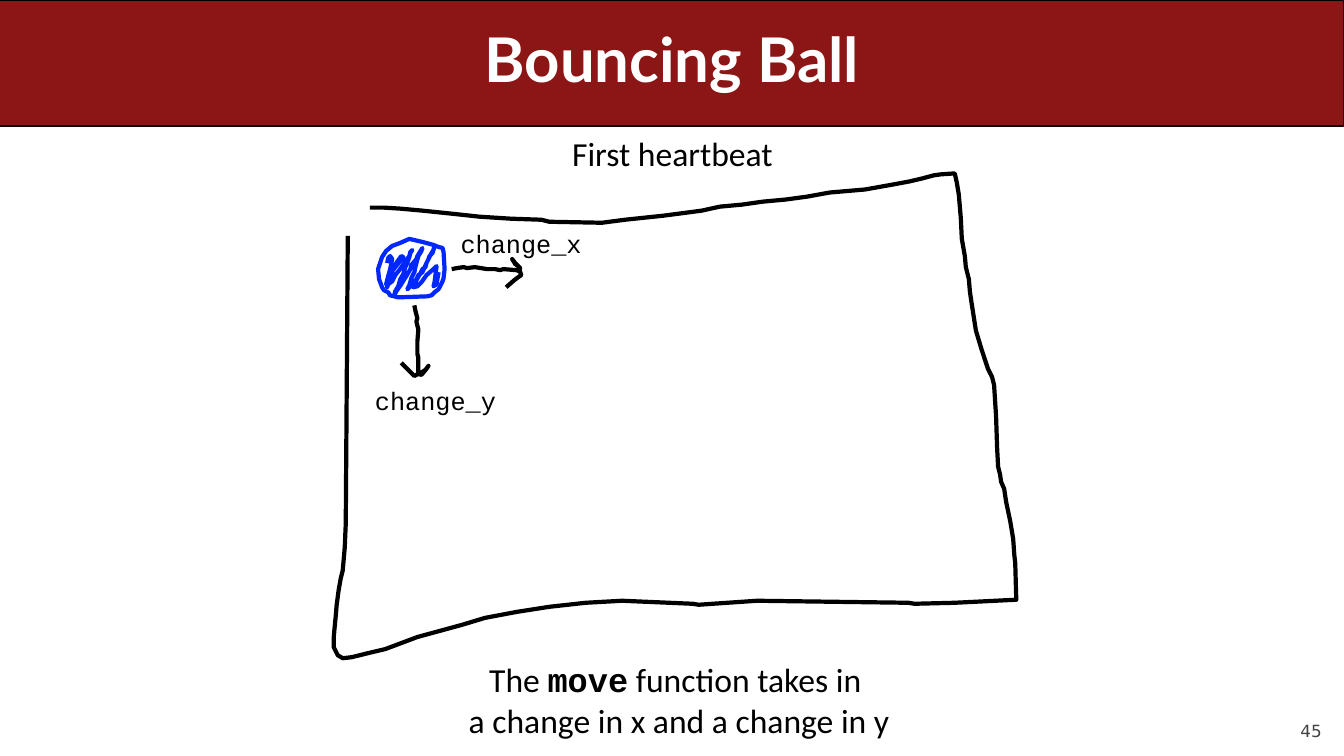
from lxml import etree
from pptx import Presentation
from pptx.dml.color import RGBColor
from pptx.enum.shapes import MSO_SHAPE
from pptx.enum.text import MSO_ANCHOR, PP_ALIGN
from pptx.oxml.ns import qn
from pptx.util import Inches, Pt

RECTANGLE, ROUNDED = MSO_SHAPE.RECTANGLE, MSO_SHAPE.ROUNDED_RECTANGLE
TOP, MIDDLE, BOTTOM = MSO_ANCHOR.TOP, MSO_ANCHOR.MIDDLE, MSO_ANCHOR.BOTTOM
LEFT, CENTER, RIGHT = PP_ALIGN.LEFT, PP_ALIGN.CENTER, PP_ALIGN.RIGHT

CARDINAL = RGBColor(0x8C, 0x15, 0x15)
BLACK = RGBColor(0, 0, 0)
WHITE = RGBColor(0xFF, 0xFF, 0xFF)
BLUE = RGBColor(0, 0x27, 0xFF)
GRAY = RGBColor(0x42, 0x42, 0x42)

TITLE = {"name": "Lato", "size": Pt(44), "bold": True}
BODY = {"name": "Calibri", "size": Pt(24), "bold": False}
BODY_CODE = {"name": "Courier New", "size": Pt(24), "bold": True}
LABEL = {"name": "Courier New", "size": Pt(18)}
NUMBER = {"name": "DejaVu Sans", "size": Pt(12)}

# Hand-drawn strokes as (x, y) points in inches.
WORLD = [
    (3.45, 2.34), (3.44, 3.77), (3.43, 5.2), (3.42, 5.43), (3.4, 5.66),
    (3.38, 5.74), (3.36, 5.85), (3.34, 6), (3.33, 6.12), (3.32, 6.22),
    (3.31, 6.33), (3.31, 6.42), (3.35, 6.5), (3.4, 6.53), (3.49, 6.52),
    (3.65, 6.48), (3.82, 6.44), (3.98, 6.38), (4.14, 6.32), (4.58, 6.2),
    (4.81, 6.13), (5.13, 6.07), (5.45, 6.02), (5.81, 5.98), (6.17, 5.96),
    (6.87, 5.99), (6.93, 6), (7.07, 5.99), (7.51, 5.96), (9.01, 5.98),
    (9.07, 5.99), (9.47, 5.98), (10.08, 5.95), (10.07, 5.59), (10.06, 5.5),
    (10.05, 5.35), (10.02, 5.17), (9.98, 4.98), (9.96, 4.85), (9.93, 4.78),
    (9.92, 4.71), (9.9, 4.63), (9.89, 4.44), (9.88, 4.13), (9.86, 3.82),
    (9.84, 3.74), (9.8, 3.66), (9.74, 3.48), (9.68, 3.28), (9.63, 2.96),
    (9.62, 2.89), (9.61, 2.77), (9.58, 2.65), (9.57, 2.54), (9.54, 2.37),
    (9.53, 2.16), (9.51, 1.93), (9.49, 1.81), (9.47, 1.72), (9.33, 1.73),
    (9.26, 1.74), (9.15, 1.77), (9.02, 1.8), (8.86, 1.83), (8.58, 1.88),
    (8.23, 1.91), (8.01, 1.95), (7.79, 1.98), (7.57, 2), (7.36, 2.03),
    (7.14, 2.05), (6.96, 2.09), (6.58, 2.14), (6.2, 2.18), (5.97, 2.21),
    (5.45, 2.2), (5.37, 2.18), (5.07, 2.17), (4.76, 2.15), (4.48, 2.12),
    (4.19, 2.09), (3.97, 2.07), (3.81, 2.06), (3.67, 2.06),
]
BALL = [
    (3.97, 2.41), (3.89, 2.44), (3.83, 2.49), (3.81, 2.52), (3.79, 2.55),
    (3.75, 2.67), (3.76, 2.77), (3.79, 2.85), (3.81, 2.88), (3.85, 2.9),
    (3.87, 2.93), (3.95, 2.95), (4.24, 2.94), (4.28, 2.93), (4.31, 2.9),
    (4.35, 2.87), (4.39, 2.79), (4.4, 2.76), (4.41, 2.67), (4.4, 2.5),
    (4.39, 2.46), (4.35, 2.45), (4.3, 2.43), (4.19, 2.4), (4.06, 2.37),
]
SCRIBBLE = [
    (3.84, 2.61), (3.85, 2.56), (3.87, 2.54), (3.89, 2.57), (3.87, 2.67),
    (3.85, 2.74), (3.84, 2.78), (3.83, 2.82), (3.86, 2.73), (3.92, 2.65),
    (4, 2.55), (3.98, 2.54), (3.93, 2.61), (3.9, 2.67), (3.86, 2.78),
    (3.84, 2.85), (3.85, 2.82), (3.89, 2.79), (3.92, 2.73), (3.96, 2.68),
    (4.01, 2.61), (4.06, 2.54), (4.07, 2.5), (4.09, 2.48), (4.07, 2.51),
    (4.06, 2.55), (4.04, 2.61), (4.02, 2.65), (4, 2.72), (3.97, 2.77),
    (3.95, 2.84), (3.92, 2.89), (3.91, 2.93), (3.93, 2.89), (3.98, 2.82),
    (4.01, 2.77), (4.03, 2.74), (4.07, 2.67), (4.08, 2.63), (4.13, 2.57),
    (4.14, 2.54), (4.19, 2.46), (4.18, 2.49), (4.15, 2.54), (4.13, 2.61),
    (4.12, 2.65), (4.11, 2.7), (4.08, 2.76), (4.06, 2.83), (4.04, 2.87),
    (4.09, 2.82), (4.13, 2.77), (4.15, 2.73), (4.19, 2.7), (4.23, 2.61),
    (4.25, 2.57), (4.26, 2.54), (4.29, 2.51), (4.31, 2.44), (4.3, 2.48),
    (4.28, 2.51), (4.23, 2.61), (4.22, 2.65), (4.19, 2.67), (4.17, 2.71),
    (4.13, 2.78), (4.1, 2.85), (4.14, 2.84), (4.18, 2.8), (4.23, 2.73),
    (4.31, 2.66), (4.33, 2.64), (4.31, 2.8), (4.3, 2.84), (4.33, 2.82),
    (4.34, 2.76), (4.35, 2.7),
]
ARROW_X = [
    (4.48, 2.67), (4.53, 2.66), (4.6, 2.65), (4.63, 2.66), (4.71, 2.65),
    (4.83, 2.67), (4.91, 2.67), (4.96, 2.68), (4.99, 2.67), (5.12, 2.68),
    (5.15, 2.69), (5.16, 2.66), (5.11, 2.61), (5.08, 2.57), (5.11, 2.62),
    (5.14, 2.64), (5.17, 2.73), (5.14, 2.75), (5.1, 2.78), (5.02, 2.85),
]
ARROW_Y = [
    (4.11, 3.03), (4.12, 3.08), (4.14, 3.16), (4.13, 3.19), (4.15, 3.27),
    (4.14, 3.39), (4.14, 3.47), (4.14, 3.51), (4.15, 3.55), (4.15, 3.68),
    (4.15, 3.71), (4.18, 3.72), (4.23, 3.66), (4.25, 3.63), (4.22, 3.67),
    (4.19, 3.69), (4.11, 3.73), (4.08, 3.7), (4.05, 3.67), (3.98, 3.6),
]


def add_block(page, preset, left, top, width, height, color):
    block = page.shapes.add_shape(
        preset, Inches(left), Inches(top), Inches(width), Inches(height))
    block.shadow.inherit = False
    block.fill.solid()
    block.fill.fore_color.rgb = color
    block.line.fill.background()
    return block


def add_stroke(page, points, color, close=False):
    """Draw a pen stroke with rounded joins through the points."""
    start, *rest = [(Inches(x), Inches(y)) for x, y in points]
    builder = page.shapes.build_freeform(*start)
    builder.add_line_segments(rest, close=close)
    stroke = builder.convert_to_shape()
    stroke.shadow.inherit = False
    stroke.fill.background()
    stroke.line.color.rgb = color
    stroke.line.width = Pt(3)
    etree.SubElement(stroke.line._get_or_add_ln(), qn("a:round"))


def write(box, lines, color=BLACK, align=LEFT, anchor=TOP, wrap=True):
    """Fill a box with lines, each a list of (text, font format) spans."""
    frame = box.text_frame
    frame.word_wrap = wrap
    frame.vertical_anchor = anchor
    for index, line in enumerate(lines):
        para = frame.add_paragraph() if index else frame.paragraphs[0]
        para.alignment = align
        for text, style in line:
            span = para.add_run()
            span.text = text
            span.font.color.rgb = color
            for name, value in style.items():
                setattr(span.font, name, value)


def add_text(page, left, top, width, height, text, style, **layout):
    box = page.shapes.add_textbox(
        Inches(left), Inches(top), Inches(width), Inches(height))
    write(box, [[(text, style)]], **layout)
    return box


def main():
    deck = Presentation()
    deck.slide_width, deck.slide_height = Inches(13.33), Inches(7.5)
    page = deck.slides.add_slide(deck.slide_layouts[6])

    number = add_text(page, 12, 6.95, 1.11, 0.4, "45", NUMBER,
                      color=GRAY, align=RIGHT, anchor=BOTTOM)
    for side in ("left", "top", "right", "bottom"):
        setattr(number.text_frame, f"margin_{side}", 0)

    banner = add_block(page, ROUNDED, 0, 0, 13.33, 1.25, CARDINAL)
    banner.adjustments[0] = 0
    banner.line.color.rgb = BLACK
    banner.line.width = Pt(0.75)

    add_stroke(page, WORLD, BLACK)
    add_stroke(page, BALL, BLUE, close=True)
    for points, color in ((SCRIBBLE, BLUE), (ARROW_X, BLACK), (ARROW_Y, BLACK)):
        add_stroke(page, points, color)

    add_text(page, 1.67, 1.27, 10, 0.5, "First heartbeat", BODY, align=CENTER)
    add_text(page, 4.47, 2.22, 1.41, 0.4, "change_x", LABEL, wrap=False)
    add_text(page, 3.62, 3.77, 1.41, 0.4, "change_y", LABEL, wrap=False)

    caption = add_block(page, RECTANGLE, 4.53, 6.49, 4.41, 0.91, WHITE)
    write(caption, [
        [("The ", BODY), ("move", BODY_CODE), (" function takes in ", BODY)],
        [("a change in x and a change in y", BODY)],
    ], align=CENTER, wrap=False)

    title = add_text(page, 0.5, 0, 12.33, 1.25, "Bouncing Ball", TITLE,
                     color=WHITE, align=CENTER, anchor=MIDDLE)
    title.text_frame.paragraphs[0].line_spacing = 0.9

    deck.save("out.pptx")


if __name__ == "__main__":
    main()
